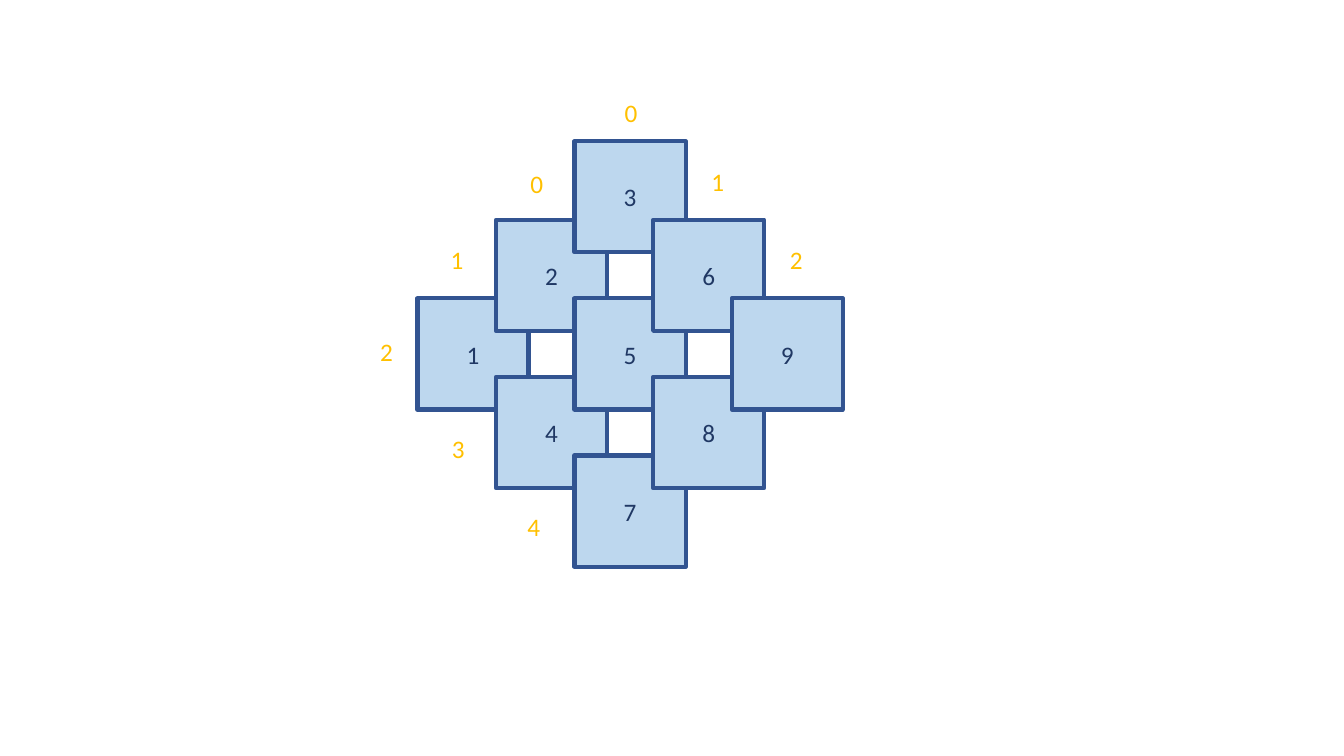
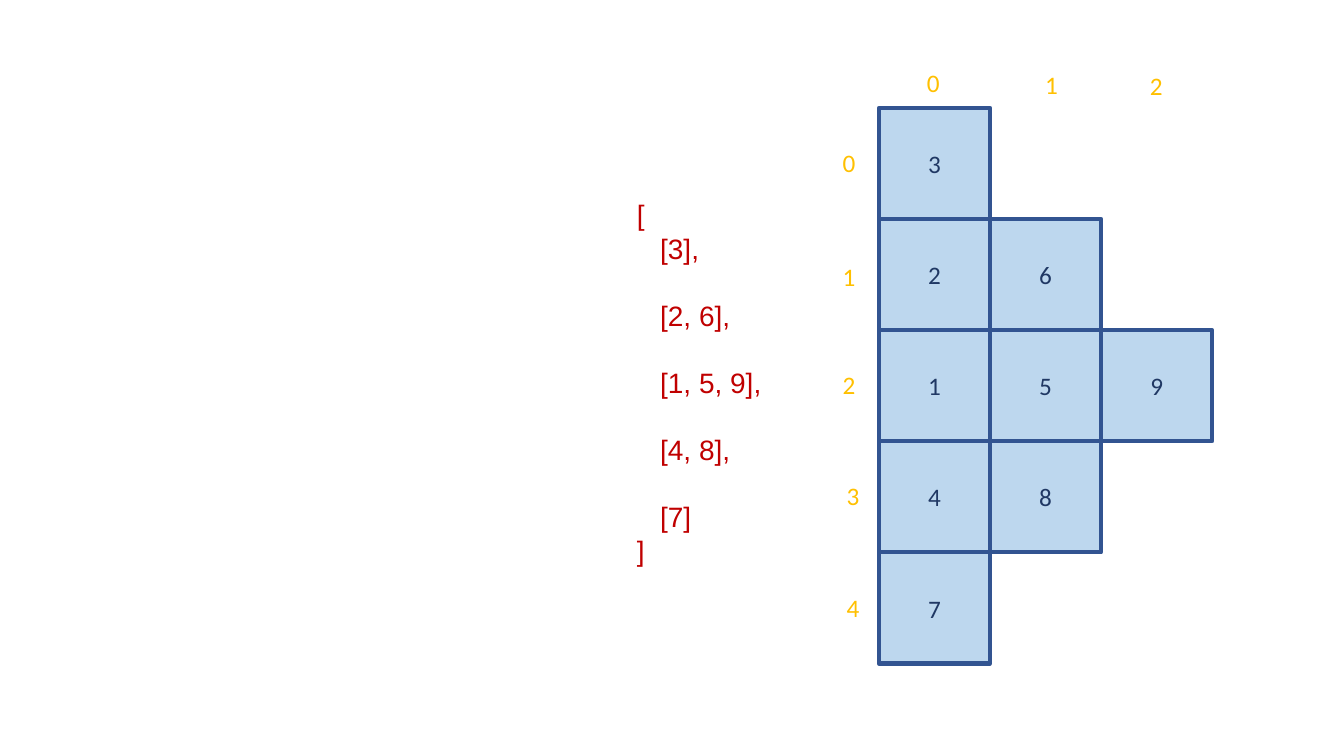
from pptx import Presentation
from pptx.dml.color import RGBColor
from pptx.enum.shapes import MSO_SHAPE
from pptx.enum.text import MSO_ANCHOR, MSO_AUTO_SIZE, PP_ALIGN
from pptx.util import Cm, Pt

TILE_FILL = "BDD7EE"
TILE_LINE = "325491"
TILE_TEXT = "203864"
INDEX_TEXT = "FFC000"
CODE_TEXT = "C00000"

TILE = 2.8
ROW_LABEL_WIDTH = 1.96
SIDE = 3

NUMBER_FONT = {"name": "Calibri", "size": Pt(18)}
CODE_FONT = {"name": "Arial", "size": Pt(20)}
TILE_FRAME = {"vertical_anchor": MSO_ANCHOR.MIDDLE, "word_wrap": True}
LABEL_FRAME = {"word_wrap": True, "auto_size": MSO_AUTO_SIZE.SHAPE_TO_FIT_TEXT}
CODE_FRAME = {"word_wrap": False, "auto_size": MSO_AUTO_SIZE.SHAPE_TO_FIT_TEXT}
CENTERED = {"alignment": PP_ALIGN.CENTER}
CODE_LINE = {"alignment": PP_ALIGN.LEFT, "line_spacing": Pt(24)}


def rgb(value):
    return RGBColor.from_string(value)


def apply(target, values):
    for name, value in values.items():
        setattr(target, name, value)


def write(p, text, font, color, layout):
    apply(p, layout)
    r = p.add_run()
    r.text = text
    apply(r.font, font)
    r.font.color.rgb = rgb(color)


def add_tile(s, left, top, value):
    sp = s.shapes.add_shape(MSO_SHAPE.RECTANGLE, Cm(left), Cm(top), Cm(TILE), Cm(TILE))
    sp.shadow.inherit = False
    sp.fill.solid()
    sp.fill.fore_color.rgb = rgb(TILE_FILL)
    sp.line.color.rgb = rgb(TILE_LINE)
    sp.line.width = Pt(3)
    tf = sp.text_frame
    apply(tf, TILE_FRAME)
    write(tf.paragraphs[0], str(value), NUMBER_FONT, TILE_TEXT, CENTERED)


def add_tiles(s, place):
    for n in range(SIDE * SIDE):
        left, top = place(*divmod(n, SIDE))
        add_tile(s, left, top, n + 1)


def add_labels(s, width, positions):
    for index, (left, top) in enumerate(positions):
        tf = s.shapes.add_textbox(Cm(left), Cm(top), Cm(width), Cm(1.02)).text_frame
        apply(tf, LABEL_FRAME)
        write(tf.paragraphs[0], str(index), NUMBER_FONT, INDEX_TEXT, CENTERED)


def add_code(s, left, top, width, height, lines):
    tf = s.shapes.add_textbox(Cm(left), Cm(top), Cm(width), Cm(height)).text_frame
    apply(tf, CODE_FRAME)
    for n, (text, gap) in enumerate(lines):
        p = tf.add_paragraph() if n else tf.paragraphs[0]
        write(p, text, CODE_FONT, CODE_TEXT, CODE_LINE | {"space_before": Pt(gap)})


def diamond_place(i, j):
    step = 1.98
    return 10.52 + step * (i + j), 7.52 + step * (i - j)


def diagonal_place(i, j):
    return 22.15 + TILE * min(i, j), 2.72 + TILE * (SIDE - 1 + i - j)


def build_diamond(s):
    add_tiles(s, diamond_place)
    add_labels(s, ROW_LABEL_WIDTH, [
        (12.55, 4.11), (10.54, 6.02), (8.76, 8.36), (10.57, 10.8), (12.47, 12.75)])
    add_labels(s, TILE, [(14.5, 2.34), (16.69, 4.06), (18.67, 6.02)])


def build_diagonals(s):
    add_tiles(s, diagonal_place)
    add_labels(s, ROW_LABEL_WIDTH, [
        (20.42, 3.58), (20.42, 6.45), (20.42, 9.19), (20.52, 11.99), (20.52, 14.81)])
    add_labels(s, TILE, [(22.12, 1.57), (25.1, 1.63), (27.74, 1.65)])
    add_code(s, 15.8, 4.85, 3.66, 9.65, [
        ("[", 0),
        ("   [3],", 0),
        ("   [2, 6],", 24),
        ("   [1, 5, 9],", 24),
        ("   [4, 8],", 24),
        ("   [7]", 24),
        ("]", 0)])


def main():
    prs = Presentation()
    apply(prs, {"slide_width": Cm(33.87), "slide_height": Cm(19.05)})
    for build in (build_diamond, build_diagonals):
        build(prs.slides.add_slide(prs.slide_layouts[6]))
    prs.save("out.pptx")


if __name__ == "__main__":
    main()
